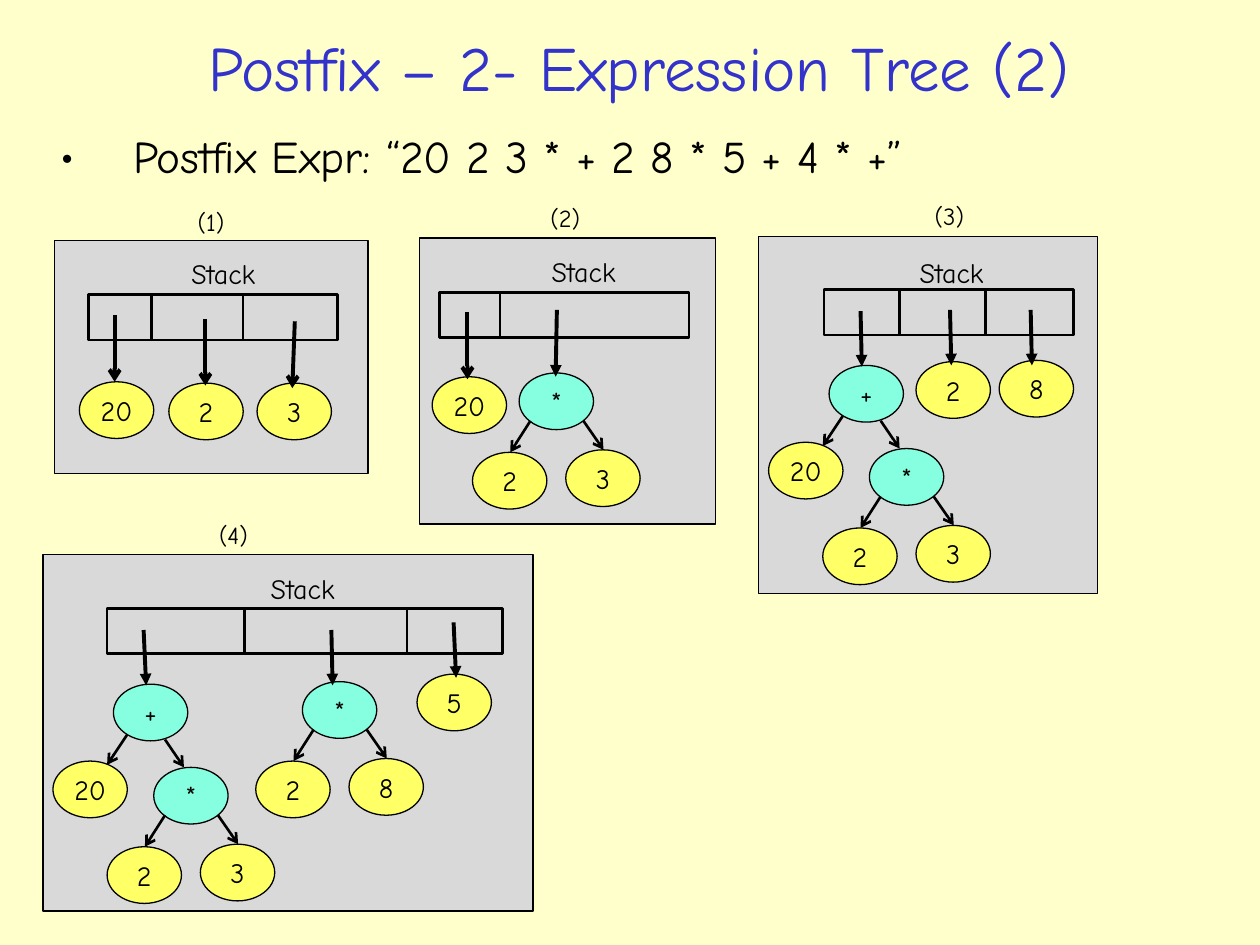
"""Build the slide showing a postfix expression turning into a tree on a stack."""
from dataclasses import dataclass

from pptx import Presentation
from pptx.dml.color import RGBColor
from pptx.enum.shapes import MSO_CONNECTOR, MSO_SHAPE
from pptx.enum.text import MSO_ANCHOR, MSO_AUTO_SIZE, PP_ALIGN
from pptx.oxml.ns import qn
from pptx.util import Inches, Pt
from lxml import etree

RECTANGLE, ELLIPSE = MSO_SHAPE.RECTANGLE, MSO_SHAPE.OVAL
STRAIGHT = MSO_CONNECTOR.STRAIGHT
MIDDLE, CENTER = MSO_ANCHOR.MIDDLE, PP_ALIGN.CENTER
GROW = MSO_AUTO_SIZE.SHAPE_TO_FIT_TEXT

CREAM = RGBColor(0xFF, 0xFF, 0xCC)
BLUE = RGBColor(0x33, 0x33, 0xCC)
BLACK = RGBColor(0, 0, 0)
GRAY = RGBColor(0xD9, 0xD9, 0xD9)
YELLOW = RGBColor(0xFF, 0xFF, 0x66)
AQUA = RGBColor(0x85, 0xFF, 0xE0)

FONT = "Comic Neue"
NODE_WIDTH, NODE_HEIGHT = 0.59, 0.45
STACK_HEIGHT = 0.36

Point = tuple[float, float]


@dataclass(frozen=True)
class Node:
    symbol: str
    children: tuple["Node", ...] = ()


@dataclass(frozen=True)
class Branch:
    """Child position and edge ends, relative to the parent's corner."""
    child: Point
    start: Point
    end: Point


@dataclass(frozen=True)
class Entry:
    """A tree hanging from one stack cell by a pointer."""
    tree: Node
    corner: Point
    start: Point
    end: Point
    head: str = "triangle"


@dataclass(frozen=True)
class Panel:
    label: str
    label_at: Point
    frame: tuple[float, float, float, float]
    stack: tuple[float, float, float]
    caption_at: Point
    dividers: tuple[float, ...]
    entries: tuple[Entry, ...]


BRANCHES = {
    "*": (Branch((-0.37, 0.63), (0.09, 0.38), (-0.07, 0.63)),
          Branch((0.37, 0.61), (0.51, 0.38), (0.67, 0.61))),
    "+": (Branch((-0.48, 0.61), (0.11, 0.4), (-0.05, 0.64)),
          Branch((0.32, 0.66), (0.41, 0.44), (0.56, 0.66))),
}

TWO, THREE, FIVE, EIGHT, TWENTY = map(Node, ("2", "3", "5", "8", "20"))
PRODUCT = Node("*", (TWO, THREE))
SUM = Node("+", (TWENTY, PRODUCT))

PANELS = (
    Panel("(1)", (1.47, 1.59), (0.43, 1.91, 2.49, 1.85), (0.7, 2.34, 1.98),
          (1.42, 1.99), (1.2, 1.93),
          (Entry(TWENTY, (0.63, 3.03), (0.91, 2.5), (0.91, 3.03), "arrow"),
           Entry(TWO, (1.34, 3.04), (1.63, 2.53), (1.63, 3.06), "arrow"),
           Entry(THREE, (2.04, 3.04), (2.34, 2.55), (2.32, 3.08), "arrow"))),
    Panel("(2)", (4.27, 1.56), (3.33, 1.89, 2.35, 2.27), (3.49, 2.32, 1.98),
          (4.28, 1.97), (3.97,),
          (Entry(TWENTY, (3.43, 2.99), (3.71, 2.48), (3.71, 3.01), "arrow"),
           Entry(PRODUCT, (4.12, 2.96), (4.42, 2.46), (4.41, 2.99)))),
    Panel("(3)", (7.32, 1.55), (6.02, 1.88, 2.69, 2.83), (6.54, 2.3, 1.98),
          (7.2, 1.98), (7.14, 7.82),
          (Entry(SUM, (6.58, 2.9), (6.83, 2.47), (6.84, 2.91)),
           Entry(TWO, (7.27, 2.87), (7.54, 2.46), (7.55, 2.9)),
           Entry(EIGHT, (7.93, 2.86), (8.18, 2.46), (8.19, 2.9)))),
    Panel("(4)", (1.64, 4.08), (0.34, 4.4, 3.89, 2.83), (0.85, 4.83, 3.14),
          (2.05, 4.49), (1.94, 3.23),
          (Entry(SUM, (0.9, 5.43), (1.14, 5), (1.16, 5.44)),
           Entry(Node("*", (TWO, EIGHT)), (2.4, 5.41), (2.63, 5), (2.64, 5.44)),
           Entry(FIVE, (3.31, 5.35), (3.6, 4.94), (3.62, 5.38)))),
)


def style_text(paragraph, size: float, color: RGBColor = BLACK) -> None:
    """Format every run of a paragraph."""
    for span in paragraph.runs:
        span.font.name = FONT
        span.font.size = Pt(size)
        span.font.color.rgb = color


def add_figure(page, kind, left, top, width, height, fill=None, weight=0.75):
    """Add an outlined shape, filled when a colour is given."""
    figure = page.shapes.add_shape(kind, *map(Inches, (left, top, width, height)))
    figure.shadow.inherit = False
    if fill is None:
        figure.fill.background()
    else:
        figure.fill.solid()
        figure.fill.fore_color.rgb = fill
    figure.line.color.rgb = BLACK
    figure.line.width = Pt(weight)
    return figure


def add_line(page, start: Point, end: Point, weight: float = 1.5, head: str = "") -> None:
    """Add a straight line with an optional arrowhead at its end."""
    line = page.shapes.add_connector(STRAIGHT, *map(Inches, (*start, *end)))
    line.line.color.rgb = BLACK
    line.line.width = Pt(weight)
    properties = line.element.spPr
    if head:
        etree.SubElement(properties.find(qn("a:ln")), qn("a:tailEnd"), type=head)
    etree.SubElement(properties, qn("a:effectLst"))


def add_label(page, text: str, corner: Point, width: float, height: float, size: float) -> None:
    """Add a one-line label."""
    box = page.shapes.add_textbox(*map(Inches, (*corner, width, height)))
    box.text_frame.text = text
    box.text_frame.word_wrap = False
    box.text_frame.auto_size = GROW
    style_text(box.text_frame.paragraphs[0], size)


def add_tree(page, node: Node, left: float, top: float) -> None:
    """Draw a node, its edges and its subtrees."""
    fill = AQUA if node.children else YELLOW
    figure = add_figure(page, ELLIPSE, left, top, NODE_WIDTH, NODE_HEIGHT, fill)
    frame = figure.text_frame
    frame.text = node.symbol
    frame.word_wrap = False
    frame.vertical_anchor = MIDDLE
    frame.paragraphs[0].alignment = CENTER
    style_text(frame.paragraphs[0], 16)
    for child, branch in zip(node.children, BRANCHES.get(node.symbol, ())):
        spots = [(left + x, top + y) for x, y in (branch.child, branch.start, branch.end)]
        add_tree(page, child, *spots[0])
        add_line(page, spots[1], spots[2], head="arrow")


def add_panel(page, panel: Panel) -> None:
    """Draw one step: its frame, its stack and the trees on it."""
    add_figure(page, RECTANGLE, *panel.frame, fill=GRAY)
    add_figure(page, RECTANGLE, *panel.stack, STACK_HEIGHT, weight=1.5)
    add_label(page, "Stack", panel.caption_at, 0.73, 0.37, 16)
    add_label(page, panel.label, panel.label_at, 0.47, 0.34, 14)
    top = panel.stack[1]
    for x in panel.dividers:
        add_line(page, (x, top + 0.01), (x, top + STACK_HEIGHT - 0.01))
    for entry in panel.entries:
        add_tree(page, entry.tree, *entry.corner)
        add_line(page, entry.start, entry.end, 2.25, entry.head)


def add_heading(page) -> None:
    """Fill the title and the bulleted expression below it."""
    title = page.shapes.title
    title.left, title.top, title.width, title.height = map(Inches, (0.3, 0.15, 9.54, 0.76))
    title.text_frame.text = "Postfix – 2- Expression Tree (2)"
    title.text_frame.vertical_anchor = MIDDLE
    title.text_frame.paragraphs[0].alignment = CENTER
    style_text(title.text_frame.paragraphs[0], 36, BLUE)

    box = page.shapes.add_textbox(*map(Inches, (0.38, 0.97, 9.21, 0.53)))
    box.text_frame.word_wrap = True
    paragraph = box.text_frame.paragraphs[0]
    paragraph.text = "Postfix Expr: “20 2 3 * + 2 8 * 5 + 4 * +”"
    indent = Inches(0.58)
    properties = paragraph._p.get_or_add_pPr()
    properties.set("marL", str(indent))
    properties.set("indent", str(-indent))
    etree.SubElement(properties, qn("a:buFont"), typeface=FONT)
    etree.SubElement(properties, qn("a:buChar"), char="•")
    style_text(paragraph, 25.9)


def main() -> None:
    """Build and save the deck."""
    deck = Presentation()
    deck.slide_width, deck.slide_height = Inches(10), Inches(7.5)
    page = deck.slides.add_slide(deck.slide_layouts[5])
    page.background.fill.solid()
    page.background.fill.fore_color.rgb = CREAM
    add_heading(page)
    for panel in PANELS:
        add_panel(page, panel)
    deck.save("out.pptx")


if __name__ == "__main__":
    main()
